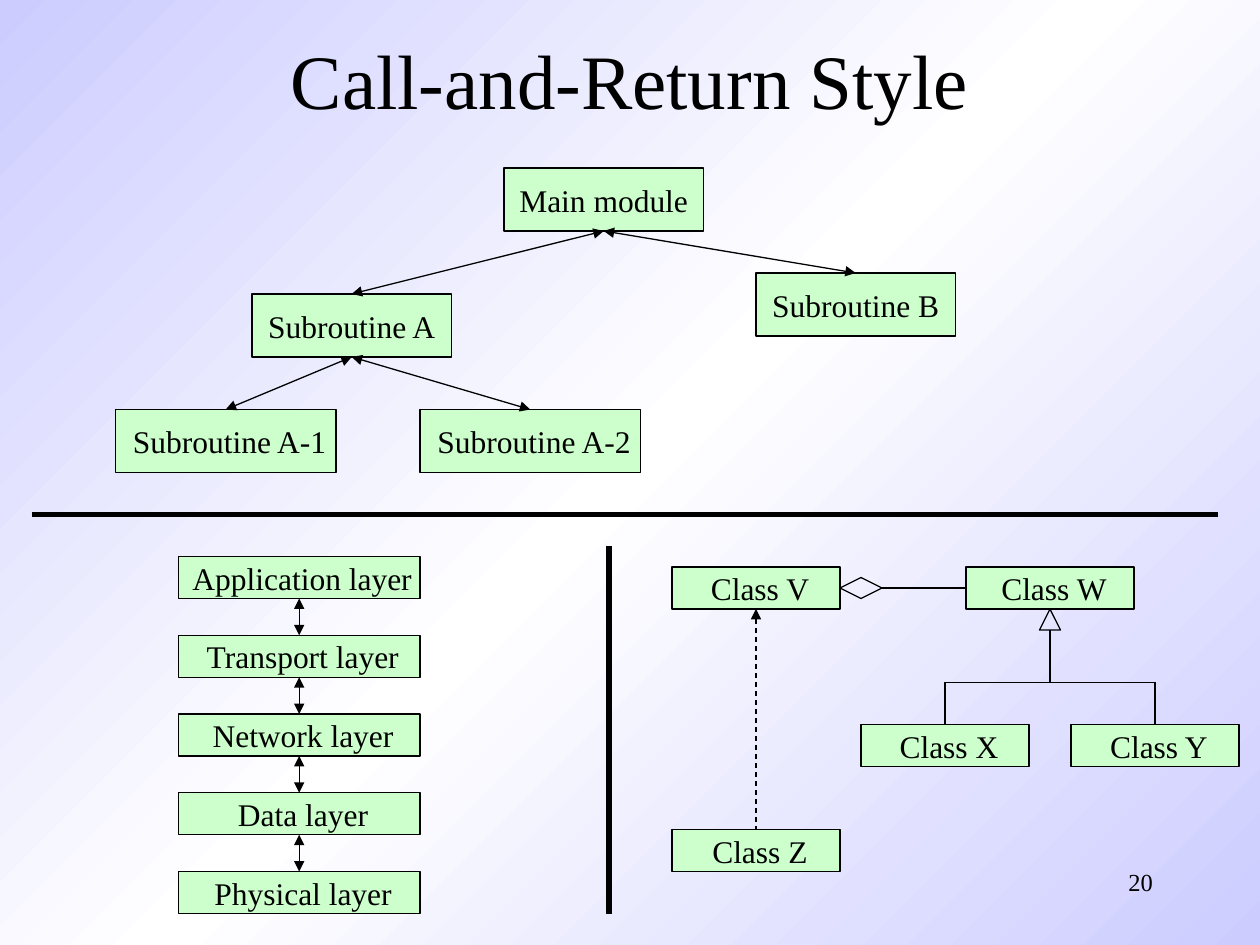
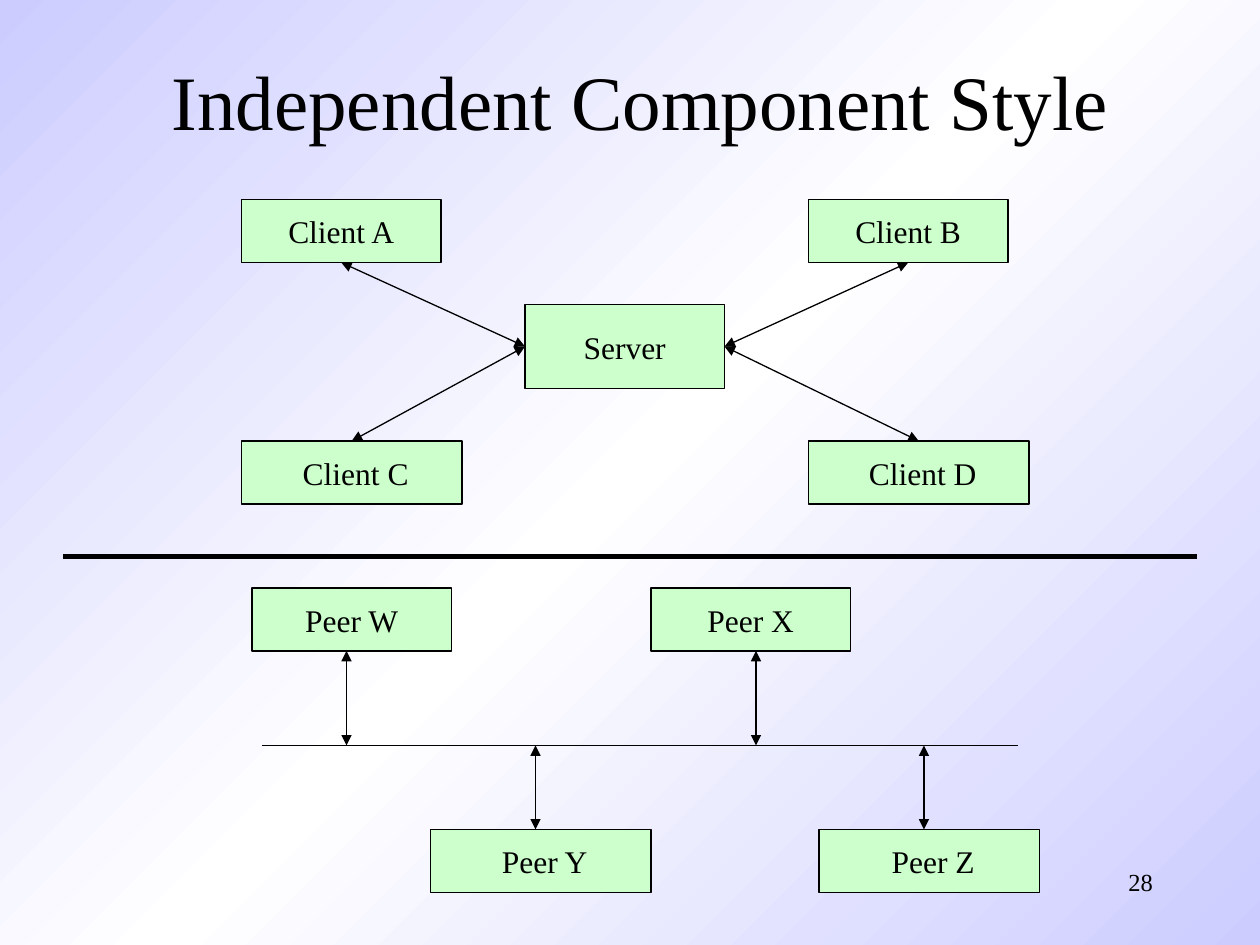
from lxml import etree
from pptx import Presentation
from pptx import util as u
from pptx.dml.color import RGBColor
from pptx.enum import dml, shapes, text
from pptx.oxml import ns

# Content: label -> left, top, width, height in px (96 px to the inch)
CALL_RETURN = {
    "title": "Call-and-Return Style",
    "title_at": (72, 0, 816, 120),
    "number": "20",
    "boxes": {
        "Main module": (384, 128, 152, 48),
        "Subroutine A": (192, 224, 152, 48),
        "Subroutine B": (576, 208, 152, 48),
        " Subroutine A-1": (88, 312, 168, 48),
        " Subroutine A-2": (320, 312, 168, 48),
        " Class V": (512, 432, 128, 32),
        " Class W": (736, 432, 128, 32),
        " Class X": (656, 552, 128, 32),
        " Class Y": (816, 552, 128, 32),
        " Class Z": (512, 632, 128, 32),
    },
    "links": [
        ("Main module", "bottom", "Subroutine A", "top"),
        ("Main module", "bottom", "Subroutine B", "top"),
        ("Subroutine A", "bottom", " Subroutine A-1", "top"),
        ("Subroutine A", "bottom", " Subroutine A-2", "top"),
    ],
    "dividers": [(24, 392, 928, 392), (464, 416, 464, 696)],
}
LAYERS = [" Application layer", " Transport layer", " Network layer",
          " Data layer", " Physical layer"]
LAYER_LEFT, LAYER_TOP, LAYER_W, LAYER_H, LAYER_STEP = 136, 424, 184, 32, 60
AGGREGATION_DIAMOND = (640, 440, 32, 16)
INHERITANCE_TRIANGLE = (792, 464, 16, 16)
CLASS_LINES = [
    (672, 448, 736, 448),  # diamond to W
    (720, 552, 720, 520),  # X upwards
    (880, 552, 880, 520),  # Y upwards
    (720, 520, 880, 520),  # bar over X and Y
    (800, 520, 800, 480),  # bar to triangle
]

INDEPENDENT = {
    "title": "Independent Component Style",
    "title_at": (80, 16, 816, 120),
    "number": "28",
    "boxes": {
        "Server": (400, 232, 152, 64),
        "Client A": (184, 152, 152, 48),
        "Client B": (616, 152, 152, 48),
        " Client C": (184, 336, 168, 48),
        " Client D": (616, 336, 168, 48),
        "Peer W": (192, 448, 152, 48),
        "Peer X": (496, 448, 152, 48),
        " Peer Y": (328, 632, 168, 48),
        " Peer Z": (624, 632, 168, 48),
    },
    "links": [
        ("Server", "left", "Client A", "bottom"),
        ("Server", "right", "Client B", "bottom"),
        ("Server", "left", " Client C", "top"),
        ("Server", "right", " Client D", "top"),
    ],
    "dividers": [(48, 424, 912, 424)],
}
BUS_LEFT, BUS_RIGHT, BUS_Y = 200, 776, 568
UPPER_PEER_BOTTOM, LOWER_PEER_TOP = 496, 632
UPPER_PEER_X, LOWER_PEER_X = (264, 576), (408, 704)

# Shared look
PX = 9525
FONT = "Times New Roman"
BLACK = RGBColor(0x00, 0x00, 0x00)
GREEN = RGBColor(0xCC, 0xFF, 0xCC)
LAVENDER = RGBColor(0xCC, 0xCC, 0xFF)
WHITE = RGBColor(0xFF, 0xFF, 0xFF)
BACKGROUND = [(0, LAVENDER), (50, WHITE), (100, LAVENDER)]
NUMBER_AT = (688, 656, 200, 48)
SITES = {"top": 0, "left": 1, "bottom": 2, "right": 3}
THIN, THICK = 0.75, 3


def emu(*lengths):
    return [u.Emu(length * PX) for length in lengths]


def write(frame, words, size=18, align=text.PP_ALIGN.CENTER,
          anchor=text.MSO_ANCHOR.MIDDLE, wrap=True):
    frame.word_wrap = wrap
    frame.auto_size = text.MSO_AUTO_SIZE.NONE
    frame.vertical_anchor = anchor
    paragraph = frame.paragraphs[0]
    paragraph.alignment = align
    run = paragraph.add_run()
    run.text = words
    run.font.name, run.font.size = FONT, u.Pt(size)
    run.font.color.rgb = BLACK


def add_outline(slide, preset, at, fill=None):
    outline = slide.shapes.add_shape(preset, *emu(*at))
    outline.shadow.inherit = False
    if fill is None:
        outline.fill.background()
    else:
        outline.fill.solid()
        outline.fill.fore_color.rgb = fill
    outline.line.color.rgb = BLACK
    outline.line.width = u.Pt(THIN)
    return outline


def add_box(slide, label, at):
    box = add_outline(slide, shapes.MSO_SHAPE.RECTANGLE, at, GREEN)
    write(box.text_frame, label, wrap=False)
    return box


def add_line(slide, ends, width=THIN, arrows=(), dash=None):
    line = slide.shapes.add_connector(shapes.MSO_CONNECTOR.STRAIGHT, *emu(*ends))
    line.line.color.rgb = BLACK
    line.line.width = u.Pt(width)
    if dash:
        line.line.dash_style = dash
    properties = line._element.spPr
    for end in arrows:
        etree.SubElement(properties.find(ns.qn("a:ln")), ns.qn(f"a:{end}"),
                         type="triangle")
    etree.SubElement(properties, ns.qn("a:effectLst"))
    return line


def add_double_arrow(slide, ends):
    return add_line(slide, ends, arrows=("headEnd", "tailEnd"))


def glue(line, start, start_site, end, end_site):
    line.begin_connect(start, SITES[start_site])
    line.end_connect(end, SITES[end_site])


def paint_background(master):
    fill = master.background.fill
    fill.gradient()
    fill.gradient_angle = 315
    stops = master._element.find(".//" + ns.qn("a:gsLst"))
    for stop in list(stops):
        stops.remove(stop)
    for percent, colour in BACKGROUND:
        stop = etree.SubElement(stops, ns.qn("a:gs"), pos=str(percent * 1000))
        etree.SubElement(stop, ns.qn("a:srgbClr"), val=str(colour))


def add_style_slide(deck, content):
    """Title, page number, dividers, boxes and the links between them."""
    slide = deck.slides.add_slide(deck.slide_layouts[5])
    title = slide.shapes.title
    title.left, title.top, title.width, title.height = emu(*content["title_at"])
    write(title.text_frame, content["title"], size=44)
    number = slide.shapes.add_textbox(*emu(*NUMBER_AT))
    write(number.text_frame, content["number"], size=14,
          align=text.PP_ALIGN.RIGHT, anchor=text.MSO_ANCHOR.TOP)
    for ends in content["dividers"]:
        add_line(slide, ends, THICK)
    boxes = {label: add_box(slide, label, at)
             for label, at in content["boxes"].items()}
    for start, start_site, end, end_site in content["links"]:
        glue(add_double_arrow(slide, (0, 0, 0, 0)),
             boxes[start], start_site, boxes[end], end_site)
    return slide, boxes


def add_layers(slide):
    layers = [add_box(slide, label, (LAYER_LEFT, LAYER_TOP + i * LAYER_STEP,
                                     LAYER_W, LAYER_H))
              for i, label in enumerate(LAYERS)]
    for upper, lower in zip(layers, layers[1:]):
        glue(add_double_arrow(slide, (0, 0, 0, 0)), upper, "bottom", lower, "top")


def add_class_relations(slide, classes):
    for ends in CLASS_LINES:
        add_line(slide, ends)
    dependency = add_line(slide, (0, 0, 0, 0), arrows=("headEnd",),
                          dash=dml.MSO_LINE.DASH)
    glue(dependency, classes[" Class V"], "bottom", classes[" Class Z"], "top")
    add_outline(slide, shapes.MSO_SHAPE.DIAMOND, AGGREGATION_DIAMOND)
    add_outline(slide, shapes.MSO_SHAPE.ISOSCELES_TRIANGLE, INHERITANCE_TRIANGLE)


def add_bus(slide):
    add_line(slide, (BUS_LEFT, BUS_Y, BUS_RIGHT, BUS_Y))
    for x in UPPER_PEER_X:
        add_double_arrow(slide, (x, UPPER_PEER_BOTTOM, x, BUS_Y))
    for x in LOWER_PEER_X:
        add_double_arrow(slide, (x, BUS_Y, x, LOWER_PEER_TOP))


def main():
    deck = Presentation()
    deck.slide_width, deck.slide_height = emu(960, 720)
    paint_background(deck.slide_master)

    # Call-and-return: subroutines, layers, classes
    call_return, boxes = add_style_slide(deck, CALL_RETURN)
    add_layers(call_return)
    add_class_relations(call_return, boxes)

    # Independent components: client-server, peers on a bus
    independent, _ = add_style_slide(deck, INDEPENDENT)
    add_bus(independent)

    deck.save("out.pptx")


if __name__ == "__main__":
    main()
